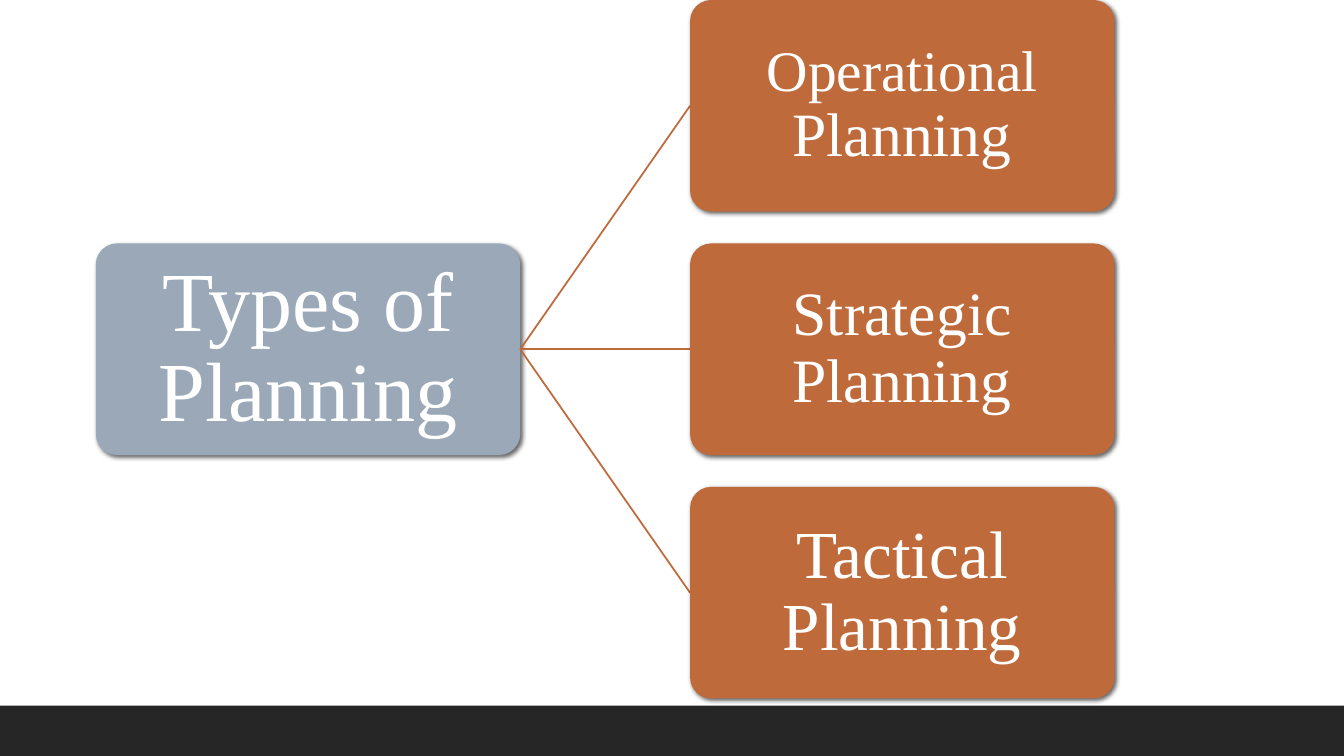
from lxml.etree import SubElement
from pptx import Presentation
from pptx.dml.color import RGBColor
from pptx.enum.shapes import MSO_CONNECTOR as Connector, MSO_SHAPE as Shape
from pptx.enum.text import MSO_ANCHOR as Anchor, PP_ALIGN as Align
from pptx.oxml.ns import qn
from pptx.util import Inches, Pt

# Content: each label is a list of (text, size) runs
ROOT = [("Types of Planning", 60)]
BRANCHES = [
    [("Operational ", 41), ("Planning", 44)],
    [("Strategic Planning", 44)],
    [("Tactical Planning", 48)],
]

FONT = "Times New Roman"
WHITE = RGBColor(0xFF, 0xFF, 0xFF)
SLATE = RGBColor(0x9B, 0xA8, 0xB7)
RUST = RGBColor(0xBF, 0x6A, 0x3B)
CHARCOAL = RGBColor(0x26, 0x26, 0x26)

# Grid: two columns, one row per branch
SLIDE_W, SLIDE_H = 13.33, 7.5
FOOTER_H = SLIDE_H / 15
BOX_W, BOX_H = 4.21, 2.1
ROOT_X = 0.95
BRANCH_X = ROOT_X + BOX_W * 1.4
ROW_STEP = BOX_H * 1.15
ROOT_Y = ROW_STEP * (len(BRANCHES) - 1) / 2

deck = Presentation()
deck.slide_width, deck.slide_height = Inches(SLIDE_W), Inches(SLIDE_H)
slide = deck.slides.add_slide(deck.slide_layouts[6])


def add_block(kind, x, y, w, h, color):
    block = slide.shapes.add_shape(kind, Inches(x), Inches(y), Inches(w), Inches(h))
    block.fill.solid()
    block.fill.fore_color.rgb = color
    block.line.fill.background()
    block.shadow.inherit = False
    return block


def add_box(label, x, y, color):
    box = add_block(Shape.ROUNDED_RECTANGLE, x, y, BOX_W, BOX_H, color)
    box.adjustments[0] = 0.1

    # Soft shadow to the lower right
    effects = box._element.spPr.find(qn("a:effectLst"))
    shadow = SubElement(effects, qn("a:outerShdw"), blurRad=str(Pt(3)),
                        dist=str(Pt(2)), dir=str(45 * 60000), rotWithShape="0")
    shade = SubElement(shadow, qn("a:srgbClr"), val="000000")
    SubElement(shade, qn("a:alpha"), val="60000")

    frame = box.text_frame
    frame.word_wrap = True
    frame.vertical_anchor = Anchor.MIDDLE
    frame.margin_left = frame.margin_right = Inches(0.1)
    frame.margin_top = frame.margin_bottom = Inches(0.1)
    line = frame.paragraphs[0]
    line.alignment = Align.CENTER
    line.line_spacing = 0.9
    for words, size in label:
        run = line.add_run()
        run.text = words
        run.font.name, run.font.size = FONT, Pt(size)
        run.font.color.rgb = WHITE


def add_link(y):
    link = slide.shapes.add_connector(
        Connector.STRAIGHT, Inches(ROOT_X + BOX_W), Inches(ROOT_Y + BOX_H / 2),
        Inches(BRANCH_X), Inches(y + BOX_H / 2))
    link.line.color.rgb = RUST
    link.line.width = Pt(1.25)
    SubElement(link._element.spPr, qn("a:effectLst"))


# Footer band
add_block(Shape.RECTANGLE, 0, SLIDE_H - FOOTER_H, SLIDE_W, FOOTER_H, CHARCOAL)

# Root and its branches
add_box(ROOT, ROOT_X, ROOT_Y, SLATE)
for row, label in enumerate(BRANCHES):
    add_link(row * ROW_STEP)
    add_box(label, BRANCH_X, row * ROW_STEP, RUST)

deck.save("out.pptx")
